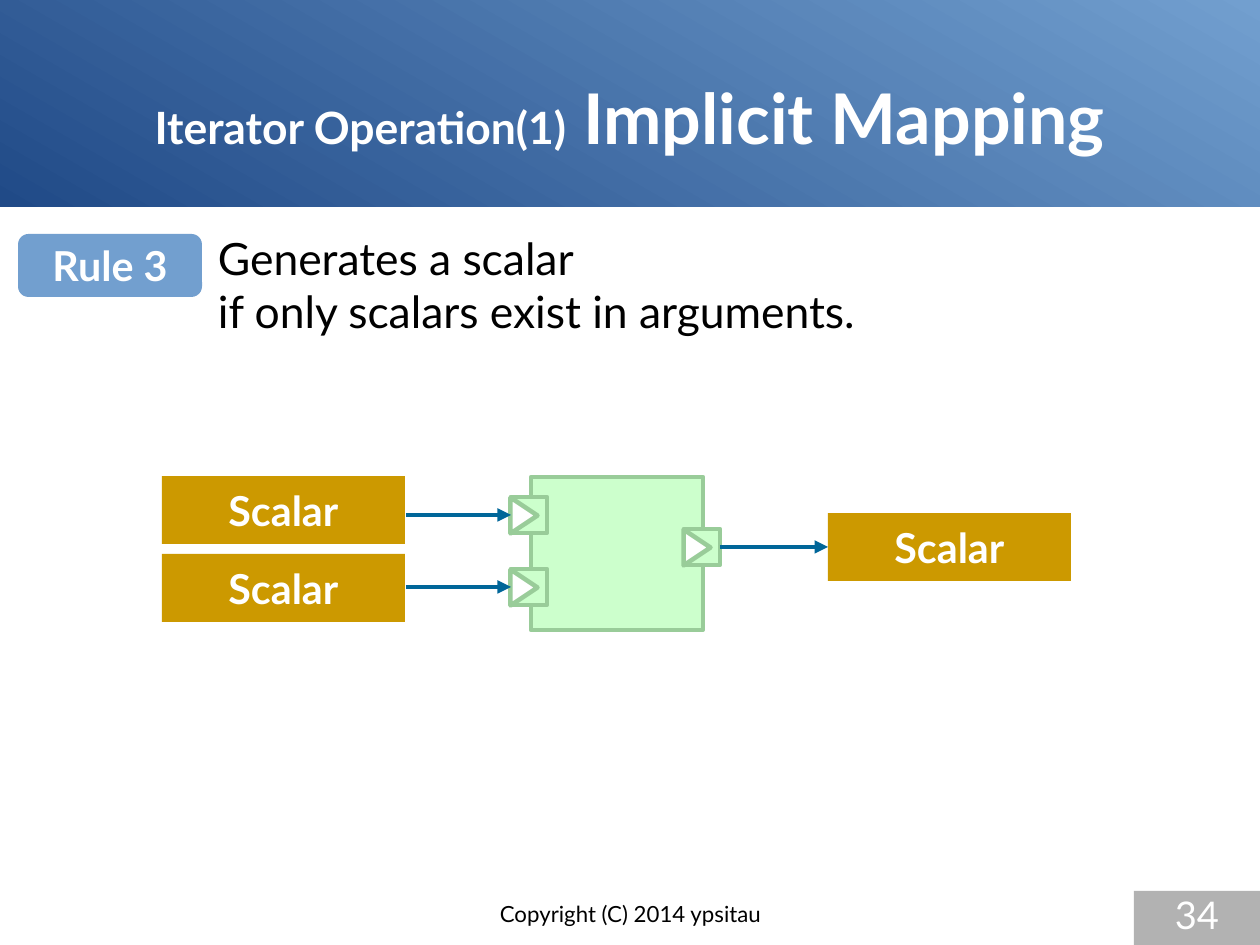
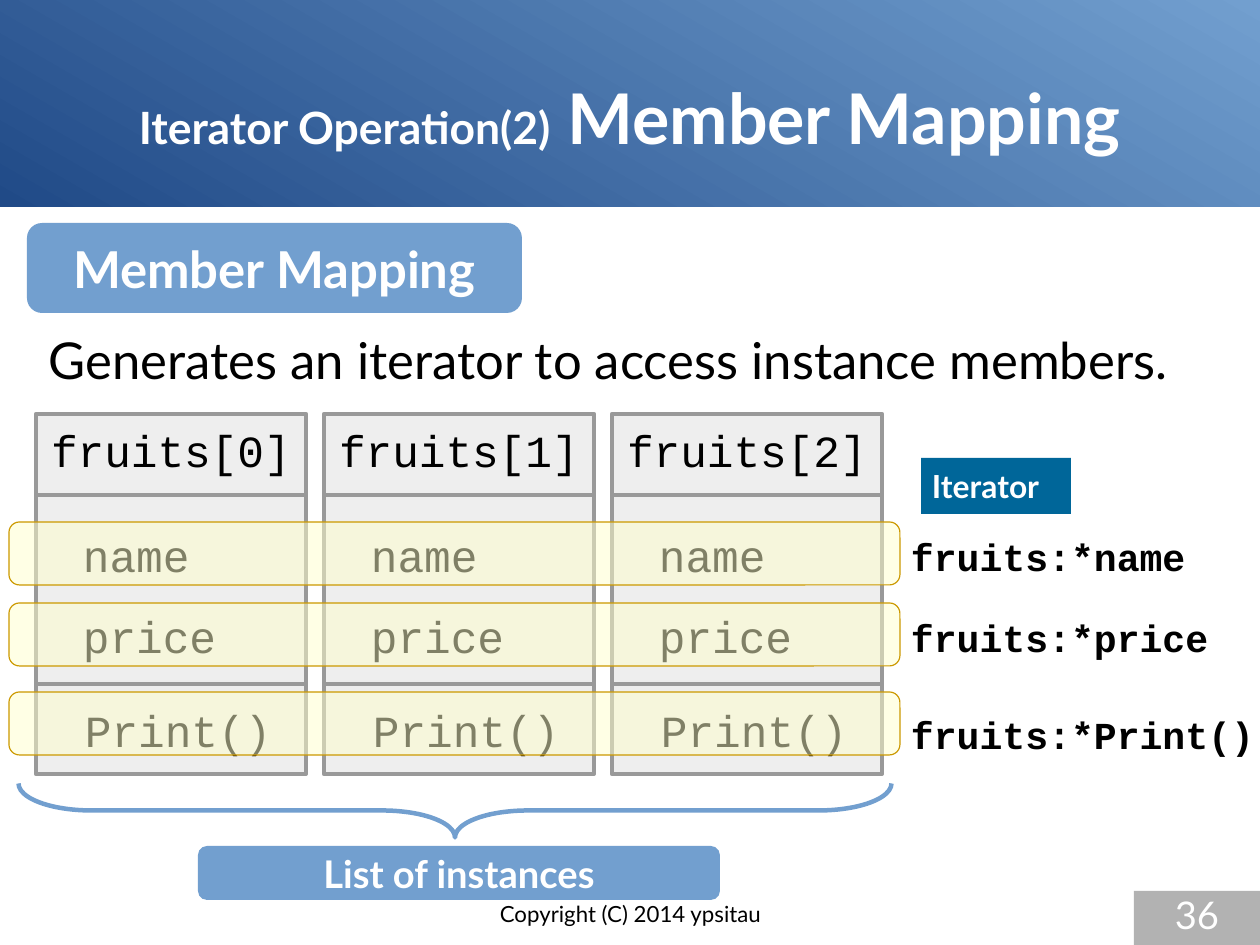
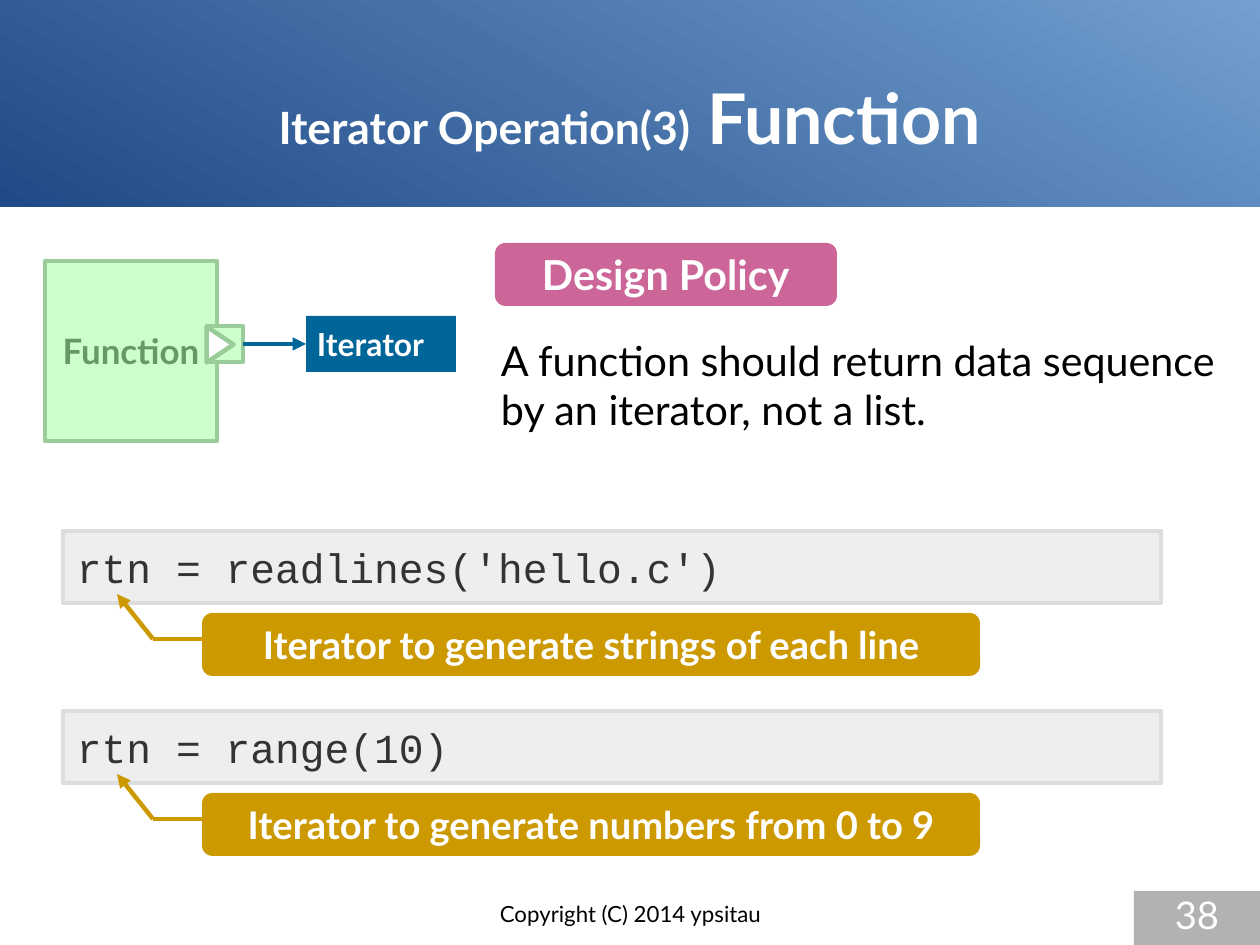
"""Build three slides on iterator operations."""
import dataclasses

import lxml.etree
import pptx
import pptx.dml.color
import pptx.enum.shapes
import pptx.enum.text
import pptx.oxml.ns
import pptx.util

PX = 8000
SHAPE = pptx.enum.shapes.MSO_SHAPE
ALIGN = pptx.enum.text.PP_ALIGN
ANCHOR = pptx.enum.text.MSO_ANCHOR
qn = pptx.oxml.ns.qn
RGB = pptx.dml.color.RGBColor.from_string


@dataclasses.dataclass(frozen=True)
class Theme:
    sans: str = "Lato"
    mono: str = "Courier New"
    navy: str = "204A87"
    blue: str = "729FCF"
    teal: str = "006699"
    gold: str = "CC9900"
    pink: str = "CC6699"
    cream: str = "FFFFCC"
    mint: str = "CCFFCC"
    green: str = "99CC99"
    moss: str = "669966"
    black: str = "000000"
    white: str = "FFFFFF"
    code: str = "333333"
    panel: str = "EEEEEE"
    pale: str = "DDDDDD"
    grey: str = "999999"
    silver: str = "B2B2B2"
    line: float = 2.83
    title: int = 44
    large: int = 32
    body: int = 28
    label: int = 26
    small: int = 24
    function: int = 22
    tag: int = 20
    footer: int = 14


T = Theme()


def box(s, preset, rect, fill=None, line=None, lines=(), size=T.label, color=T.white,
        font=T.sans, bold=False, align=ALIGN.CENTER, anchor=ANCHOR.MIDDLE, inset=(11, 6)):
    x, y, w, h = [v * PX for v in rect]
    if preset is None:
        sp = s.shapes.add_textbox(x, y, w, h)
    else:
        sp = s.shapes.add_shape(preset, x, y, w, h)
        sp.shadow.inherit = False
        if fill:
            sp.fill.solid()
            sp.fill.fore_color.rgb = RGB(fill)
        else:
            sp.fill.background()
        if line:
            sp.line.color.rgb = RGB(line)
            sp.line.width = pptx.util.Pt(T.line)
        else:
            sp.line.fill.background()
    tf = sp.text_frame
    tf.word_wrap = True
    tf.vertical_anchor = anchor
    tf.margin_left = tf.margin_right = inset[0] * PX
    tf.margin_top = tf.margin_bottom = inset[1] * PX
    for i, text in enumerate(lines):
        p = tf.add_paragraph() if i else tf.paragraphs[0]
        p.alignment = align
        r = p.add_run()
        r.text = text
        r.font.name = font
        r.font.size = pptx.util.Pt(size)
        r.font.bold = bold
        r.font.color.rgb = RGB(color)
    return sp


def link(s, x1, y1, x2, y2, color, arrow=False):
    c = s.shapes.add_connector(pptx.enum.shapes.MSO_CONNECTOR.STRAIGHT,
                               x1 * PX, y1 * PX, x2 * PX, y2 * PX)
    c.line.color.rgb = RGB(color)
    c.line.width = pptx.util.Pt(T.line)
    spPr = c._element.spPr
    if arrow:
        lxml.etree.SubElement(spPr.find(qn("a:ln")), qn("a:tailEnd"), type="triangle")
    lxml.etree.SubElement(spPr, qn("a:effectLst"))
    return c


prs = pptx.Presentation()
prs.slide_width = 1260 * PX
prs.slide_height = 945 * PX
layout = prs.slide_layouts[5]

slides = []
for number, part, topic, x in (
    (34, "Iterator Operation(1)", " Implicit Mapping", 63),
    (36, "Iterator Operation(2)", " Member Mapping", 63),
    (38, "Iterator Operation(3)", " Function", 50),
):
    s = prs.slides.add_slide(layout)
    slides.append(s)
    title = s.shapes.title
    title.left, title.top = x * PX, 38 * PX
    title.width, title.height = (1260 - 2 * x) * PX, 158 * PX
    tf = title.text_frame
    tf.auto_size = pptx.enum.text.MSO_AUTO_SIZE.NONE
    tf.vertical_anchor = ANCHOR.MIDDLE
    tf.margin_left = tf.margin_right = tf.margin_top = tf.margin_bottom = 0
    p = tf.paragraphs[0]
    p.alignment = ALIGN.CENTER
    for text, size in ((part, T.body), (topic, T.title)):
        r = p.add_run()
        r.text = text
        r.font.name = T.sans
        r.font.size = pptx.util.Pt(size)
        r.font.bold = True
        r.font.color.rgb = RGB(T.white)
    box(s, None, (431, 900, 399, 45), lines=["Copyright (C) 2014 ypsitau"],
        size=T.footer, color=T.black, anchor=ANCHOR.TOP, inset=(0, 0))
    box(s, SHAPE.RECTANGLE, (1134, 891, 126, 54), T.silver, lines=[str(number)],
        size=T.small, anchor=ANCHOR.TOP, inset=(0, 0))

implicit, member, function = slides

band = box(implicit, SHAPE.RECTANGLE, (0, 0, 1260, 207))
band.fill.gradient()
band.fill.gradient_angle = 60
for stop, color in zip(band.fill.gradient_stops, (T.navy, T.blue)):
    stop.color.rgb = RGB(color)
layout.shapes[0]._element.addprevious(band._element)

box(implicit, SHAPE.RECTANGLE, (531, 477, 172, 153), T.mint, T.green)
box(function, SHAPE.RECTANGLE, (45, 261, 172, 180), T.mint, T.green, ["Function"],
    T.function, T.moss, bold=True, inset=(14, 8))
ports = []
for s, x, y in ((implicit, 511, 497), (implicit, 511, 569), (implicit, 684, 529),
                (function, 207, 326)):
    ports.append(box(s, SHAPE.RECTANGLE, (x, y, 36, 36), T.mint, T.green))
    tri = box(s, SHAPE.ISOSCELES_TRIANGLE, (x - 5, y + 5, 36, 27), T.white, T.green)
    tri.rotation = 90
upper_port, lower_port, result_port, function_port = ports

box(implicit, SHAPE.ROUNDED_RECTANGLE, (18, 234, 184, 63), T.blue,
    lines=["Rule 3"], bold=True)
box(implicit, None, (207, 225, 714, 133),
    lines=["Generates a scalar", "if only scalars exist in arguments."],
    size=T.body, color=T.black, align=ALIGN.LEFT, anchor=ANCHOR.TOP)
for x, y in ((162, 476), (162, 554), (828, 513)):
    scalar = box(implicit, SHAPE.RECTANGLE, (x, y, 243, 68), T.gold,
                 lines=["Scalar"], bold=True)
for port, y in ((upper_port, 515), (lower_port, 587)):
    c = link(implicit, 406, y, 511, y, T.teal, True)
    c.end_connect(port, 1)
c = link(implicit, 720, 547, 828, 547, T.teal, True)
c.begin_connect(result_port, 3)
c.end_connect(scalar, 1)

box(member, SHAPE.ROUNDED_RECTANGLE, (27, 223, 495, 90), T.blue,
    lines=["Member Mapping"], size=T.large, bold=True)
box(member, None, (38, 323, 1222, 80),
    lines=["Generates an iterator to access instance members."],
    size=T.large, color=T.black, align=ALIGN.LEFT, anchor=ANCHOR.TOP)
for i in range(3):
    x = 36 + 288 * i
    box(member, SHAPE.RECTANGLE, (x, 414, 270, 360), T.panel, T.grey)
    for y in (495, 684):
        link(member, x, y, x + 270, y, T.grey)
    box(member, None, (x, 419, 270, 62), lines=[f"fruits[{i}]"], size=T.body,
        color=T.black, font=T.mono)
    for name, dx, y in (("name", 36, 522), ("price", 36, 603), ("Print()", 38, 697)):
        box(member, None, (x + dx, y, 230, 62), lines=[name], size=T.body,
            color=T.black, font=T.mono, align=ALIGN.LEFT, anchor=ANCHOR.TOP)
for name, y, label_y in (("name", 522, 527), ("price", 603, 608), ("Print()", 692, 705)):
    row = box(member, SHAPE.ROUNDED_RECTANGLE, (9, y, 891, 63), T.cream, T.gold)
    row.line.width = 0
    lxml.etree.SubElement(row._element.spPr.find(".//" + qn("a:srgbClr")),
                          qn("a:alpha"), val="50000")
    box(member, None, (911, label_y, 349, 55), lines=[f"fruits:*{name}"], size=T.small,
        color=T.black, font=T.mono, bold=True, align=ALIGN.LEFT, anchor=ANCHOR.TOP,
        inset=(0, 6))
brace = box(member, SHAPE.RIGHT_BRACE, (428, 374, 54, 873), line=T.blue)
brace.adjustments[0] = 1.35
brace.rotation = 90
box(member, SHAPE.ROUNDED_RECTANGLE, (198, 846, 522, 54), T.blue,
    lines=["List of instances"], size=T.small, bold=True)

for s, x, y in ((member, 921, 458), (function, 306, 316)):
    iterator = box(s, SHAPE.RECTANGLE, (x, y, 150, 56), T.teal, lines=["Iterator"],
                   size=T.tag, bold=True, align=ALIGN.LEFT)
c = link(function, 243, 344, 306, 344, T.teal, True)
c.begin_connect(function_port, 3)
c.end_connect(iterator, 1)

box(function, SHAPE.ROUNDED_RECTANGLE, (495, 243, 342, 63), T.pink,
    lines=["Design Policy"], bold=True)
box(function, None, (490, 329, 770, 125),
    lines=["A function should return data sequence", "by an iterator, not a list."],
    color=T.black, align=ALIGN.LEFT, anchor=ANCHOR.TOP)
for i, (code, remark) in enumerate((
    ("rtn = readlines('hello.c')", "Iterator to generate strings of each line"),
    ("rtn = range(10)", "Iterator to generate numbers from 0 to 9"),
)):
    y = 531 + 180 * i
    box(function, SHAPE.RECTANGLE, (63, y, 1098, 72), T.panel, T.pale, [code],
        color=T.code, font=T.mono, align=ALIGN.LEFT, inset=(14, 8))
    box(function, SHAPE.ROUNDED_RECTANGLE, (202, y + 82, 778, 63), T.gold,
        lines=[remark], size=T.small, bold=True)
    link(function, 153, y + 108, 117, y + 63, T.gold, True)
    link(function, 153, y + 108, 202, y + 108, T.gold)

prs.save("out.pptx")
